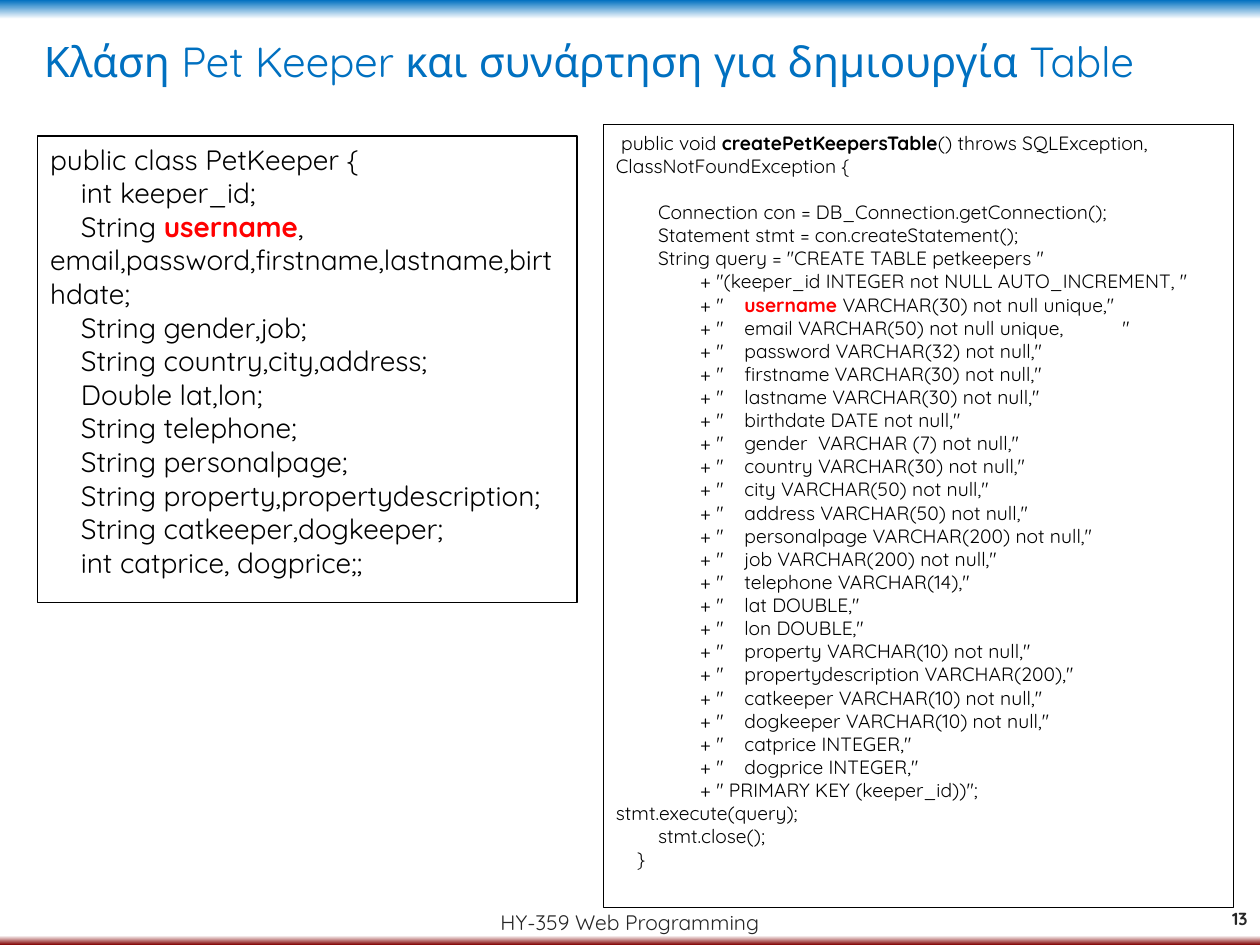
from lxml.etree import SubElement
from pptx import Presentation
from pptx.dml.color import RGBColor as Rgb
from pptx.enum.shapes import MSO_SHAPE as Shape
from pptx.enum.text import MSO_ANCHOR as Anchor, MSO_AUTO_SIZE as Fit, PP_ALIGN as Align
from pptx.oxml.ns import qn
from pptx.util import Inches, Pt

COLORS = {"blue": "0070C0", "white": "FFFFFF", "maroon": "800000",
          "gray": "262626", "ink": "000000", "red": "FF0000"}
EMPHASIS = {"username": "red", "createPetKeepersTable": "ink"}
BACKDROP = [(0, "blue"), (2, "white"), (99, "white"), (100, "maroon")]

KEEPER_CLASS = [
    (0, "public class PetKeeper {"),
    (1, "int keeper_id;"),
    (1, "String username,"),
    (0, "email,password,firstname,lastname,birthdate;"),
    (1, "String gender,job;"),
    (1, "String country,city,address;"),
    (1, "Double lat,lon;"),
    (1, "String telephone;"),
    (1, "String personalpage;"),
    (1, "String property,propertydescription;"),
    (1, "String catkeeper,dogkeeper;"),
    (1, "int catprice, dogprice;;"),
]
TABLE_COLUMNS = [
    "username VARCHAR(30) not null unique,",
    "email VARCHAR(50) not null unique,\t",
    "password VARCHAR(32) not null,",
    "firstname VARCHAR(30) not null,",
    "lastname VARCHAR(30) not null,",
    "birthdate DATE not null,",
    "gender  VARCHAR (7) not null,",
    "country VARCHAR(30) not null,",
    "city VARCHAR(50) not null,",
    "address VARCHAR(50) not null,",
    "personalpage VARCHAR(200) not null,",
    "job VARCHAR(200) not null,",
    "telephone VARCHAR(14),",
    "lat DOUBLE,",
    "lon DOUBLE,",
    "property VARCHAR(10) not null,",
    "propertydescription VARCHAR(200),",
    "catkeeper VARCHAR(10) not null,",
    "dogkeeper VARCHAR(10) not null,",
    "catprice INTEGER,",
    "dogprice INTEGER,",
]
CREATE_TABLE = [
    (0, " public void createPetKeepersTable() throws SQLException, ClassNotFoundException {"),
    (2, "Connection con = DB_Connection.getConnection();", {"space_before": Pt(13.2)}),
    (2, "Statement stmt = con.createStatement();"),
    (2, 'String query = "CREATE TABLE petkeepers "'),
    (4, '+ "(keeper_id INTEGER not NULL AUTO_INCREMENT, "'),
    *[(4, f'+ "\t{column}"') for column in TABLE_COLUMNS],
    (4, '+ " PRIMARY KEY (keeper_id))";'),
    (0, "stmt.execute(query);"),
    (2, "stmt.close();"),
    (1, "}"),
]


def assign(target, values):
    """Set each named attribute of the target."""
    for name, value in values.items():
        setattr(target, name, value)


class SlideBuilder:
    """Draws styled elements on one slide, placed on a grid of 100 by 75 cells."""

    FONT = "Quicksand"
    INDENT_PER_POINT = 0.0152
    TEXT_START = 1.02
    QUOTE_STOP = 4

    def __init__(self, deck):
        self.page = deck.slides.add_slide(deck.slide_layouts[6])
        self.cell = deck.slide_width / 100

    def place(self, *cells):
        return [round(cells_count * self.cell) for cells_count in cells]

    def backdrop(self, stops):
        fill = self.page.background.fill
        fill.gradient()
        fill.gradient_angle = 270
        stop_list = self.page.background._cSld.find(".//" + qn("a:gsLst"))
        for stop in list(stop_list):
            stop_list.remove(stop)
        for percent, color in stops:
            stop = SubElement(stop_list, qn("a:gs"), pos=str(percent * 1000))
            SubElement(stop, qn("a:srgbClr"), val=COLORS[color])

    def panel(self, area, fill=None, line=None):
        box = self.page.shapes.add_shape(Shape.RECTANGLE, *self.place(*area))
        box.shadow.inherit = False
        for paint, color in ((box.fill, fill), (box.line.fill, line)):
            if color:
                paint.solid()
                paint.fore_color.rgb = Rgb.from_string(COLORS[color])
            else:
                paint.background()
        if line:
            box.line.width = Pt(0.75)
        return box

    def span(self, para, text, size, color, bold=False):
        span = para.add_run()
        span.text = text
        assign(span.font, {"name": self.FONT, "size": Pt(size), "bold": bold})
        span.font.color.rgb = Rgb.from_string(COLORS[color])

    def frame(self, box, anchor):
        assign(box.text_frame, {"word_wrap": True, "auto_size": Fit.NONE,
                                "vertical_anchor": anchor})
        return box.text_frame

    def label(self, area, text, size, color, bold=False, align=Align.LEFT, anchor=Anchor.MIDDLE):
        box = self.page.shapes.add_textbox(*self.place(*area))
        para = self.frame(box, anchor).paragraphs[0]
        para.alignment = align
        self.span(para, text, size, color, bold)

    def indent(self, para, depth, size, tabbed):
        start = depth * size * self.INDENT_PER_POINT
        margin = self.TEXT_START if tabbed else start
        properties = para._p.get_or_add_pPr()
        properties.set("marL", str(Inches(margin)))
        properties.set("indent", str(Inches(start - margin)))
        if tabbed:
            stops = SubElement(properties, qn("a:tabLst"))
            for stop in (self.TEXT_START, self.QUOTE_STOP):
                SubElement(stops, qn("a:tab"), pos=str(Inches(stop)), algn="l")

    def code(self, area, lines, size):
        frame = self.frame(self.panel(area, line="ink"), Anchor.TOP)
        for number, (depth, text, *extra) in enumerate(lines):
            para = frame.add_paragraph() if number else frame.paragraphs[0]
            assign(para, {"alignment": Align.LEFT, **(extra[0] if extra else {})})
            self.indent(para, depth, size, "\t" in text)
            word = next((name for name in EMPHASIS if name in text), None)
            before, match, after = text.partition(word) if word else (text, "", "")
            for part in filter(None, (before, match, after)):
                marked = part == word
                self.span(para, part, size, EMPHASIS[word] if marked else "ink", marked)


def main():
    deck = Presentation()
    assign(deck, {"slide_width": Inches(10), "slide_height": Inches(7.5)})
    slide = SlideBuilder(deck)
    slide.backdrop(BACKDROP)
    slide.panel((5, 3.6, 92.2, 67.6), fill="white")
    slide.label((0, 70.9, 100, 4.5), "HY-359 Web Programming", 12, "gray", align=Align.CENTER)
    slide.label((94.6, 70.9, 5.4, 4), "13", 10, "gray", bold=True, align=Align.RIGHT)
    slide.label((2.5, 2.3, 98.4, 7.1), "Κλάση Pet Keeper και συνάρτηση για δημιουργία Table",
                24, "blue", anchor=Anchor.TOP)
    slide.code((3, 10.8, 42.8, 37), KEEPER_CLASS, 16)
    slide.code((47.9, 9.9, 50, 62.1), CREATE_TABLE, 11)
    deck.save("out.pptx")


if __name__ == "__main__":
    main()
